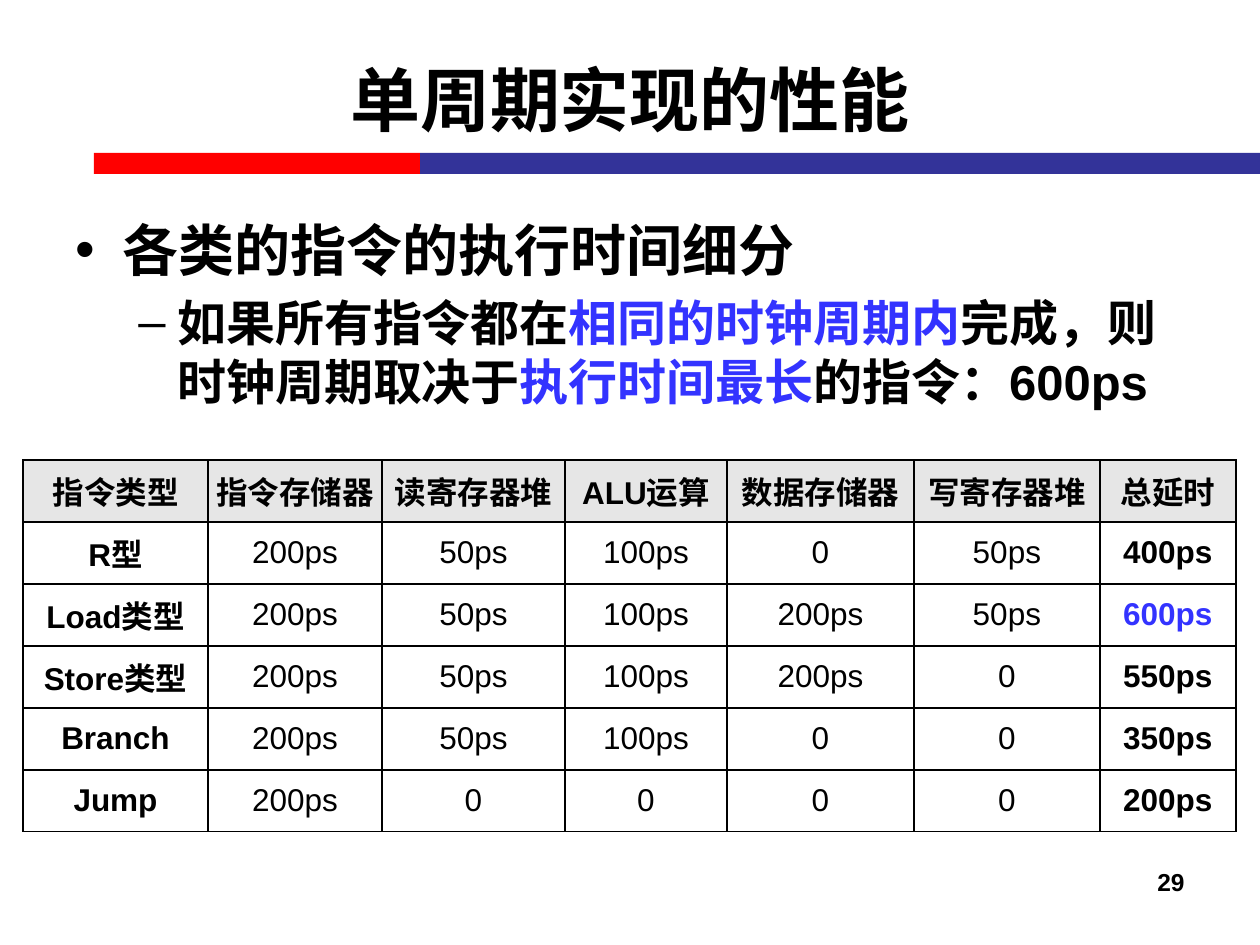
import pptx
import pptx.dml.color
import pptx.enum.shapes
import pptx.enum.text
import pptx.oxml
import pptx.oxml.ns
import pptx.util

EMU_PER_PX = 914400 / 126
FONT = "Arial"
BLACK, BLUE = "000000", "3333FF"
RED, NAVY, HEADER_GRAY = "FF0000", "333399", "E6E6E6"
ALIGN = pptx.enum.text.PP_ALIGN
ANCHOR = pptx.enum.text.MSO_ANCHOR

COLUMN_WIDTHS = [185, 174, 183, 162, 187, 186, 136]
ROW_HEIGHT = 62
DELAYS = [
    ["指令类型", "指令存储器", "读寄存器堆", "ALU运算", "数据存储器", "写寄存器堆", "总延时"],
    ["R型", "200ps", "50ps", "100ps", "0", "50ps", "400ps"],
    ["Load类型", "200ps", "50ps", "100ps", "200ps", "50ps", "600ps"],
    ["Store类型", "200ps", "50ps", "100ps", "200ps", "0", "550ps"],
    ["Branch", "200ps", "50ps", "100ps", "0", "0", "350ps"],
    ["Jump", "200ps", "0", "0", "0", "0", "200ps"],
]


def px(length):
    return pptx.util.Emu(round(length * EMU_PER_PX))


def rgb(color):
    return pptx.dml.color.RGBColor.from_string(color)


def format_run(run, size, color=BLACK, bold=True):
    run.font.name = FONT
    run.font.size = pptx.util.Pt(size)
    run.font.bold = bold
    run.font.color.rgb = rgb(color)


def add_text_box(slide, left, top, width, height, anchor=ANCHOR.TOP):
    """Add an empty wrapping text box and return its text frame."""
    text_frame = slide.shapes.add_textbox(px(left), px(top), px(width), px(height)).text_frame
    text_frame.word_wrap = True
    text_frame.vertical_anchor = anchor
    return text_frame


def set_line(text_frame, text, size, alignment):
    text_frame.text = text
    paragraph = text_frame.paragraphs[0]
    paragraph.alignment = alignment
    format_run(paragraph.runs[0], size)


def add_bar(slide, left, width, color):
    shape = slide.shapes.add_shape(
        pptx.enum.shapes.MSO_SHAPE.RECTANGLE, px(left), px(153), px(width), px(21))
    shape.shadow.inherit = False
    shape.fill.solid()
    shape.fill.fore_color.rgb = rgb(color)
    shape.line.fill.background()


def set_bullet(paragraph, character, margin, hanging):
    properties = paragraph._p.get_or_add_pPr()
    properties.set("marL", str(px(margin)))
    properties.set("indent", str(-px(hanging)))
    namespace = pptx.oxml.ns.nsdecls("a")
    properties.append(pptx.oxml.parse_xml(f'<a:buFont {namespace} typeface="{FONT}"/>'))
    properties.append(pptx.oxml.parse_xml(f'<a:buChar {namespace} char="{character}"/>'))


def fill_bullet(paragraph, pieces, size):
    """Write (text, color) pieces as runs of one paragraph."""
    for text, color in pieces:
        run = paragraph.add_run()
        run.text = text
        format_run(run, size, color)


def set_borders(cell):
    properties = cell._tc.get_or_add_tcPr()
    for side in "LRTB":
        properties.append(pptx.oxml.parse_xml(
            f'<a:ln{side} {pptx.oxml.ns.nsdecls("a")} w="12700"><a:solidFill>'
            f'<a:srgbClr val="{BLACK}"/></a:solidFill></a:ln{side}>'))


def format_cell(cell, text, is_header, bold, color):
    cell.margin_left = cell.margin_right = cell.margin_top = cell.margin_bottom = 0
    cell.vertical_anchor = ANCHOR.MIDDLE
    set_borders(cell)
    if is_header:
        cell.fill.solid()
        cell.fill.fore_color.rgb = rgb(HEADER_GRAY)
    else:
        cell.fill.background()
    cell.text_frame.text = text
    paragraph = cell.text_frame.paragraphs[0]
    paragraph.alignment = ALIGN.CENTER
    format_run(paragraph.runs[0], 18, color, bold)


def add_delay_table(slide, left, top):
    table = slide.shapes.add_table(
        len(DELAYS), len(COLUMN_WIDTHS), px(left), px(top),
        px(sum(COLUMN_WIDTHS)), px(ROW_HEIGHT * len(DELAYS))).table
    table.first_row = table.horz_banding = False
    for column, width in zip(table.columns, COLUMN_WIDTHS):
        column.width = px(width)
    last = len(COLUMN_WIDTHS) - 1
    for row_index, values in enumerate(DELAYS):
        table.rows[row_index].height = px(ROW_HEIGHT)
        for column_index, text in enumerate(values):
            is_header = row_index == 0
            bold = is_header or column_index in (0, last)
            color = BLUE if text == "600ps" else BLACK
            format_cell(table.cell(row_index, column_index), text, is_header, bold, color)


def add_body(slide):
    text_frame = add_text_box(slide, 63, 209, 1134, 624)
    topic = text_frame.paragraphs[0]
    set_bullet(topic, "•", 47, 47)
    fill_bullet(topic, [("各类的指令的执行时间细分", BLACK)], 32)
    detail = text_frame.add_paragraph()
    detail.level = 1
    set_bullet(detail, "–", 102, 39)
    detail.space_before = pptx.util.Pt(5.6)
    fill_bullet(detail, [
        ("如果所有指令都在", BLACK),
        ("相同的时钟周期内", BLUE),
        ("完成，则时钟周期取决于", BLACK),
        ("执行时间最长", BLUE),
        ("的指令：600ps", BLACK),
    ], 28)


def main():
    presentation = pptx.Presentation()
    presentation.slide_width, presentation.slide_height = px(1260), px(945)
    slide = presentation.slides.add_slide(presentation.slide_layouts[6])
    add_bar(slide, 94, 326, RED)
    add_bar(slide, 420, 840, NAVY)
    title = add_text_box(slide, 63, 19, 1134, 158, ANCHOR.MIDDLE)
    set_line(title, "单周期实现的性能", 40, ALIGN.CENTER)
    add_body(slide)
    set_line(add_text_box(slide, 903, 861, 294, 66), "29", 14, ALIGN.RIGHT)
    add_delay_table(slide, 23, 460)
    presentation.save("out.pptx")


if __name__ == "__main__":
    main()
